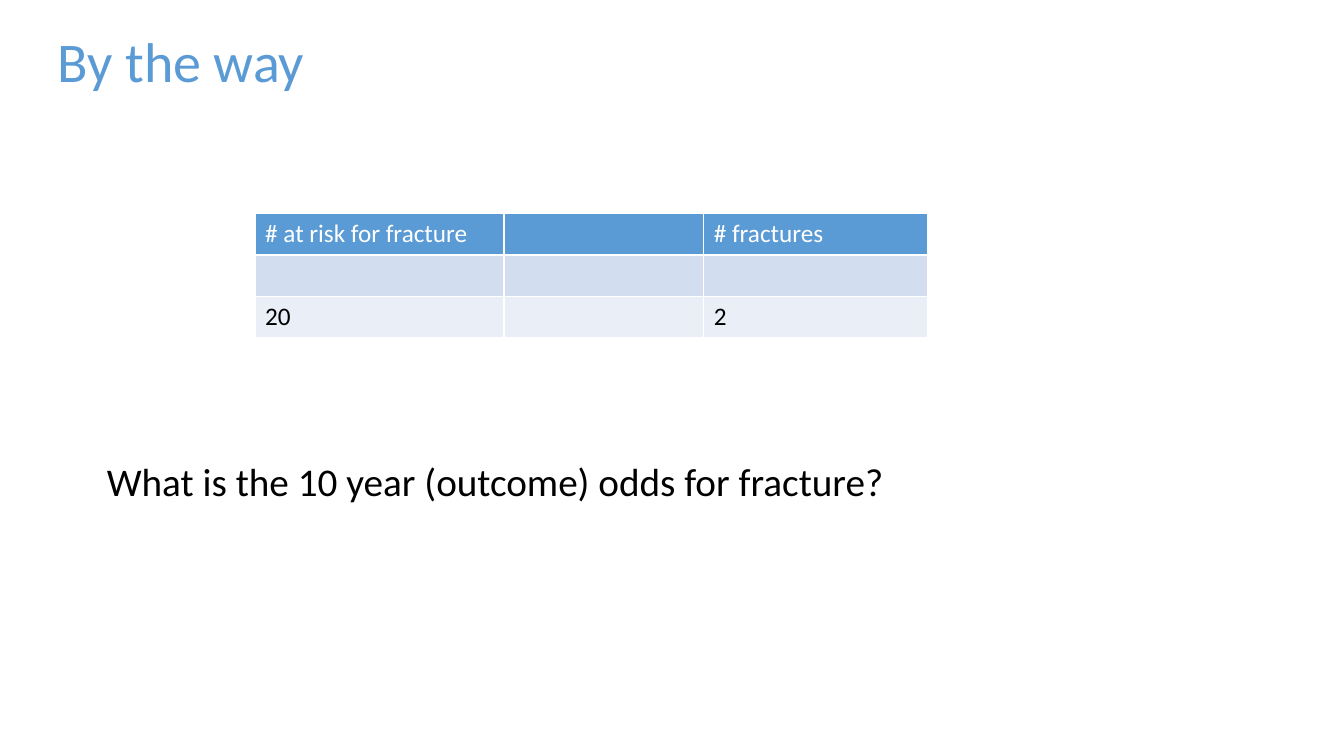
from pptx import Presentation
from pptx.dml.color import RGBColor
from pptx.enum.text import MSO_ANCHOR, PP_ALIGN
from pptx.util import Inches, Pt

BLUE = RGBColor(0x5B, 0x9B, 0xD5)
BAND = RGBColor(0xD2, 0xDE, 0xEF)
PALE = RGBColor(0xEA, 0xEF, 0xF7)
WHITE = RGBColor(0xFF, 0xFF, 0xFF)
BLACK = RGBColor(0x00, 0x00, 0x00)


def write(tf, text, size=18, color=BLACK, spacing=1.0, font="Calibri"):
    """Write one left-aligned paragraph with the given format."""
    p = tf.paragraphs[0]
    p.alignment = PP_ALIGN.LEFT
    p.line_spacing = spacing
    p.space_before = Pt(0)
    r = p.add_run()
    r.text = text
    r.font.name = font
    r.font.size = Pt(size)
    r.font.bold = False
    r.font.color.rgb = color


class Deck:
    """Hold the presentation, its style and the current slide."""

    def __init__(self, width, height):
        self.prs = Presentation()
        self.prs.slide_width = Inches(width)
        self.prs.slide_height = Inches(height)
        self.s = self.prs.slides.add_slide(self.prs.slide_layouts[0])

    def placeholder(self, index, box, text, **style):
        sp = self.s.placeholders[index]
        sp.left, sp.top, sp.width, sp.height = map(Inches, box)
        tf = sp.text_frame
        tf.word_wrap = True
        tf.vertical_anchor = MSO_ANCHOR.TOP
        write(tf, text, **style)

    def table(self, left, top, widths, row_height, rows, fills):
        frame = self.s.shapes.add_table(
            len(rows), len(widths), Inches(left), Inches(top),
            Inches(sum(widths)), Inches(row_height * len(rows)))
        table = frame.table
        for column, width in zip(table.columns, widths):
            column.width = Inches(width)
        for i, (row, fill) in enumerate(zip(rows, fills)):
            for j, text in enumerate(row):
                cell = table.cell(i, j)
                cell.fill.solid()
                cell.fill.fore_color.rgb = fill
                if text:
                    write(cell.text_frame, text, color=BLACK if i else WHITE)


def main():
    deck = Deck(13.33, 7.5)
    deck.placeholder(0, (0.47, 0.21, 9.34, 0.87), "By the way",
                     size=40, color=BLUE)
    deck.placeholder(1, (0.96, 4.54, 8.66, 1.92),
                     "What is the 10 year (outcome) odds for fracture?",
                     size=28, spacing=0.9)
    rows = [("# at risk for fracture", "", "# fractures"),
            ("", "", ""),
            ("20", "", "2")]
    deck.table(2.53, 2.12, (2.47, 1.98, 2.22), 0.41, rows, (BLUE, BAND, PALE))
    deck.prs.save("out.pptx")


if __name__ == "__main__":
    main()
